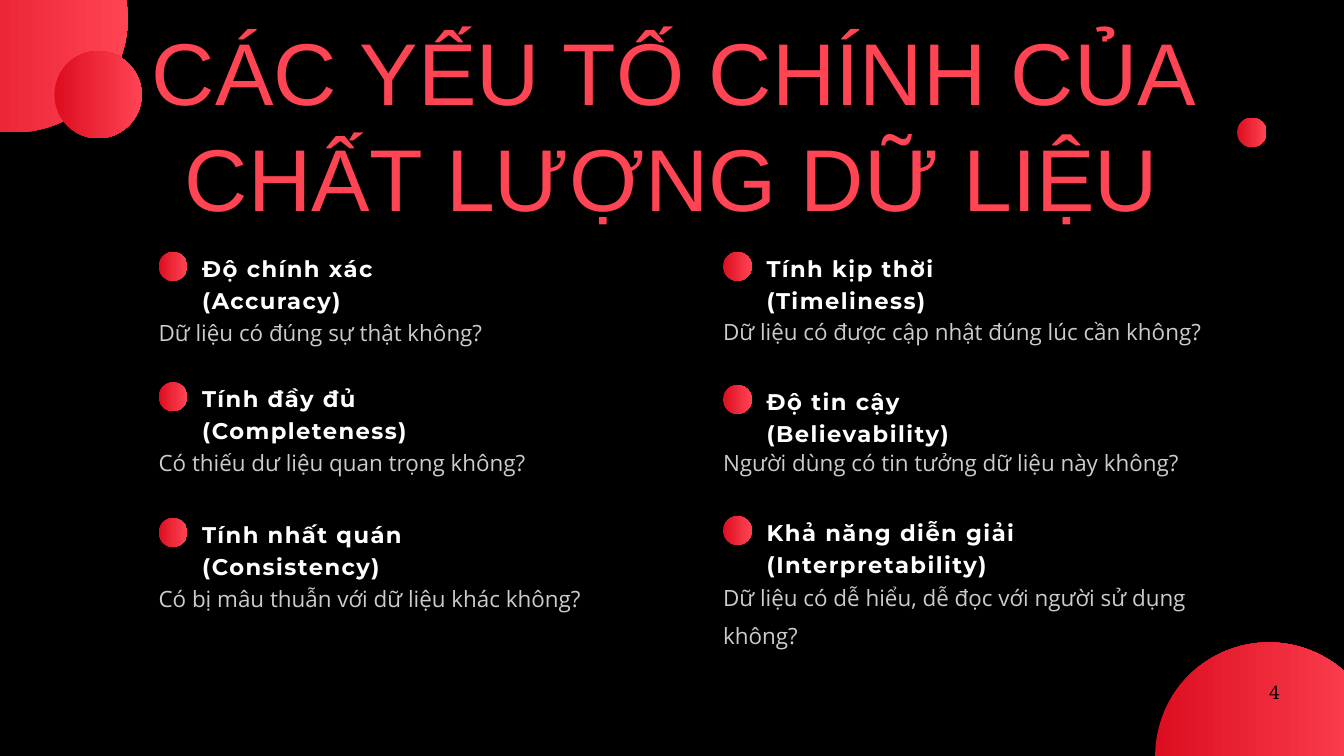
from lxml import etree
from pptx import Presentation, util as u
from pptx.dml.color import RGBColor
from pptx.enum import shapes, text
from pptx.oxml.ns import qn

BLACK = RGBColor(0x00, 0x00, 0x00)
WHITE = RGBColor(0xFF, 0xFF, 0xFF)
CRIMSON = RGBColor(0xDC, 0x0E, 0x20)
CORAL = RGBColor(0xFF, 0x44, 0x54)

HEADLINE = "CÁC YẾU TỐ CHÍNH CỦA CHẤT LƯỢNG DỮ LIỆU"
PAGE_NUMBER = "4"
LEFT, RIGHT = 2.36, 10.76
NARROW, WIDE = 3.6, 6.32
ONE_LINE, TWO_LINES = 0.51, 1.07

# left, top, label width, question top, question height, label, question
FACTORS = [
    (LEFT, 3.75, NARROW, 4.58, ONE_LINE, "Độ chính xác (Accuracy)",
     "Dữ liệu có đúng sự thật không?"),
    (LEFT, 5.69, NARROW, 6.52, ONE_LINE, "Tính đầy đủ (Completeness)",
     "Có thiếu dư liệu quan trọng không?"),
    (LEFT, 7.71, NARROW, 8.54, ONE_LINE, "Tính nhất quán (Consistency)",
     "Có bị mâu thuẫn với dữ liệu khác không?"),
    (RIGHT, 3.75, NARROW, 4.56, ONE_LINE, "Tính kịp thời (Timeliness)",
     "Dữ liệu có được cập nhật đúng lúc cần không?"),
    (RIGHT, 5.73, NARROW, 6.52, ONE_LINE, "Độ tin cậy (Believability)",
     "Người dùng có tin tưởng dữ liệu này không?"),
    (RIGHT, 7.68, WIDE, 8.52, TWO_LINES, "Khả năng diễn giải (Interpretability)",
     "Dữ liệu có dễ hiểu, dễ đọc với người sử dụng không?"),
]
CORNER_CIRCLES = [
    (17.19, 9.56, 3.38),
    (18.41, 1.75, 0.44),
    (-1.48, -1.41, 3.38),
    (0.81, 0.76, 1.3),
]
BULLET_SIZE = 0.43
LABEL_INDENT = 0.65


def add_circle(slide, left, top, size):
    circle = slide.shapes.add_shape(
        shapes.MSO_SHAPE.OVAL, *map(u.Inches, (left, top, size, size)))
    circle.shadow.inherit = False
    circle.line.fill.background()
    circle.fill.gradient()
    circle.fill.gradient_angle = 0
    for stop, color in zip(circle.fill.gradient_stops, (CRIMSON, CORAL)):
        stop.color.rgb = color


def write(box, words, font, size, color, leading,
          align=text.PP_ALIGN.LEFT, wrap=True):
    frame = box.text_frame
    frame.text = words
    frame.word_wrap = wrap
    frame.auto_size = text.MSO_AUTO_SIZE.NONE
    frame.vertical_anchor = text.MSO_ANCHOR.TOP
    frame.margin_left = frame.margin_right = 0
    frame.margin_top = frame.margin_bottom = 0
    paragraph = frame.paragraphs[0]
    paragraph.alignment = align
    paragraph.line_spacing = u.Pt(leading)
    run = paragraph.runs[0]
    run.font.name = font
    run.font.size = u.Pt(size)
    run.font.color.rgb = color
    return run


def add_text(slide, area, *style, **options):
    box = slide.shapes.add_textbox(*map(u.Inches, area))
    return write(box, *style, **options)


def add_factor(slide, left, top, label_width, question_top, question_height,
               label, question):
    add_circle(slide, left, top, BULLET_SIZE)
    label_run = add_text(
        slide, (left + LABEL_INDENT, top - 0.03, label_width, 0.92),
        label, "Montserrat", 24.3, WHITE, 34.1)
    label_run.font.bold = True
    label_run.font._element.set("spc", "160")
    question_run = add_text(
        slide, (left, question_top, 7.64, question_height),
        question, "Open Sans", 24, WHITE, 40.8)
    tint = question_run.font._element.find(".//" + qn("a:srgbClr"))
    etree.SubElement(tint, qn("a:alpha")).set("val", "80000")


def main():
    deck = Presentation()
    deck.slide_width, deck.slide_height = u.Inches(20), u.Inches(11.25)
    slide = deck.slides.add_slide(deck.slide_layouts[5])
    slide.background.fill.solid()
    slide.background.fill.fore_color.rgb = BLACK

    title = slide.shapes.title
    title.left, title.top, title.width, title.height = map(
        u.Inches, (2.21, 0.27, 15.57, 3.14))
    write(title, HEADLINE, "Arial", 94, CORAL, 112.8,
          align=text.PP_ALIGN.CENTER)

    for circle in CORNER_CIRCLES:
        add_circle(slide, *circle)
    for factor in FACTORS:
        add_factor(slide, *factor)
    add_text(slide, (18.88, 10.07, 0.17, 0.22), PAGE_NUMBER, "Noto Serif", 20,
             BLACK, 28, align=text.PP_ALIGN.CENTER, wrap=False)
    deck.save("out.pptx")


if __name__ == "__main__":
    main()
